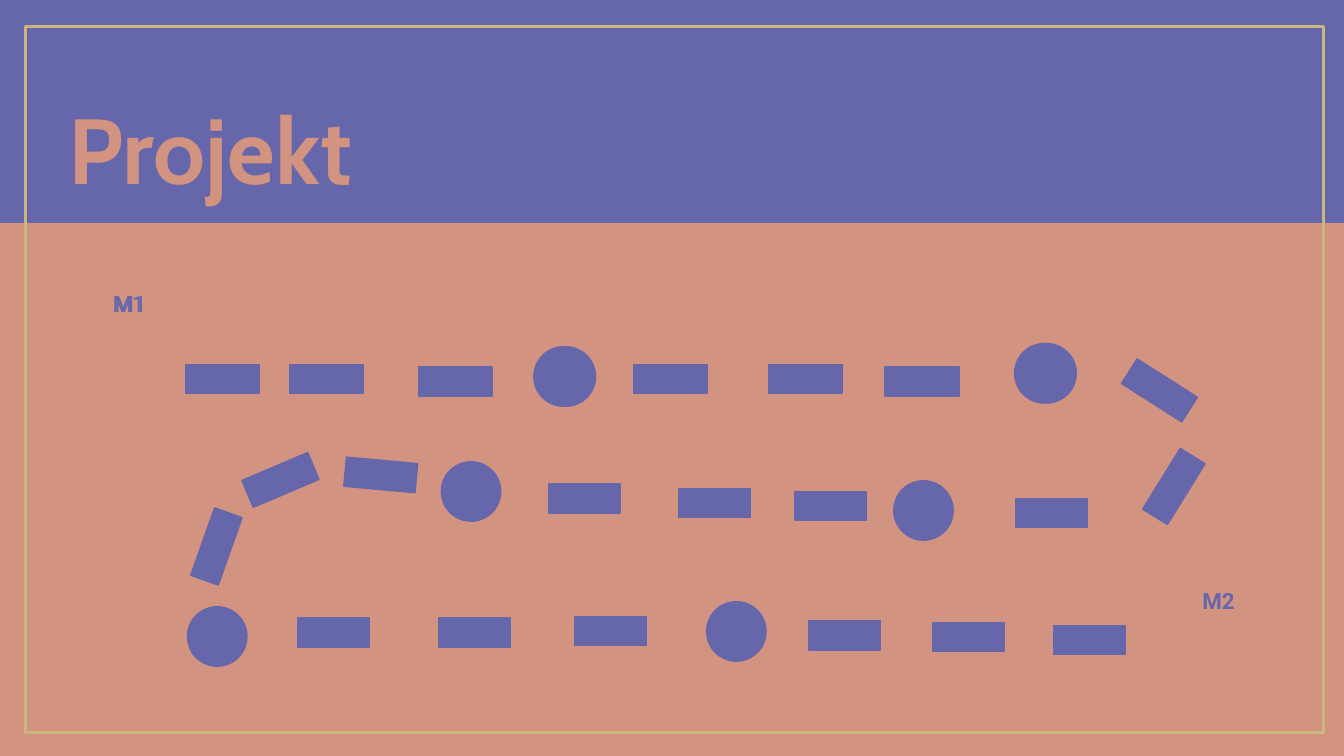
"""Build the Projekt slide: a winding board of tiles and stops from M1 to M2."""
from dataclasses import dataclass

import pptx
import pptx.dml.color
import pptx.enum.shapes
import pptx.enum.text
import pptx.util

Pt = pptx.util.Pt
RECT = pptx.enum.shapes.MSO_SHAPE.RECTANGLE
OVAL = pptx.enum.shapes.MSO_SHAPE.OVAL

COLORS = {"violet": "6667AB", "salmon": "D29381", "gold": "CCB87E"}
TILE_SIZE = (51.1, 20.9)
STOP_SIZE = (42.5, 42.5)
TOP_ROW_OFFSETS = (1.6, 0)


@dataclass(frozen=True)
class Step:
    left: float
    top: float
    rotation: float = 0
    is_stop: bool = False


@dataclass(frozen=True)
class Label:
    text: str
    left: float
    top: float
    width: float
    height: float
    font: str
    size: float
    color: str
    bold: bool = False


TITLE = Label("Projekt", 41.8, 62.6, 519, 87.1, "Cabin", 66, "salmon", True)
START = Label("M1", 73.3, 203.8, 44, 26.6, "Roboto", 16, "violet")
FINISH = Label("M2", 851.8, 416.2, 44.6, 26.6, "Roboto", 16, "violet", True)

TOP_ROW = [
    Step(132.3, 260.4),
    Step(206.6, 260.4),
    Step(298.8, 262),
    Step(381.3, 247.7, is_stop=True),
    Step(452.6, 260.4),
    Step(549, 260.4),
    Step(632.2, 262),
    Step(724.7, 245.4, is_stop=True),
]
REST_OF_TRACK = [
    Step(802.6, 268.4, 32.5),
    Step(812.9, 337, 121.8),
    Step(725.8, 356.1),
    Step(638.4, 343.4, is_stop=True),
    Step(567.4, 351),
    Step(485, 348.8),
    Step(391.7, 345.6),
    Step(315.2, 329.8, is_stop=True),
    Step(246.4, 328.8, 5.2),
    Step(174.8, 332.4, 337),
    Step(129.1, 379.9, 289.5),
    Step(133.9, 433.4, is_stop=True),
    Step(212.6, 441.4),
    Step(313.6, 441.4),
    Step(410.6, 440.4),
    Step(504.7, 429.8, is_stop=True),
    Step(577.8, 443.4),
    Step(666, 444.6),
    Step(752.4, 446.8),
]


def rgb(name: str) -> pptx.dml.color.RGBColor:
    """Return the named palette colour."""
    return pptx.dml.color.RGBColor.from_string(COLORS[name])


def draw_shape(slide, kind, box: tuple, fill: str = "", line: str = "",
               weight: float = 1, rotation: float = 0) -> None:
    """Draw a flat preset shape; an empty colour leaves that part off."""
    shape = slide.shapes.add_shape(kind, *map(Pt, box))
    shape.shadow.inherit = False
    shape.rotation = rotation
    if fill:
        shape.fill.solid()
        shape.fill.fore_color.rgb = rgb(fill)
    else:
        shape.fill.background()
    if line:
        shape.line.color.rgb = rgb(line)
        shape.line.width = Pt(weight)
    else:
        shape.line.fill.background()


def draw_step(slide, step: Step, shift: float = 0) -> None:
    """Draw one tile or round stop of the track."""
    kind, size = (OVAL, STOP_SIZE) if step.is_stop else (RECT, TILE_SIZE)
    draw_shape(slide, kind, (step.left + shift, step.top, *size),
               "violet", "violet", rotation=step.rotation)


def draw_label(slide, label: Label, shift: float = 0) -> None:
    """Write a one-line label."""
    box = (label.left + shift, label.top, label.width, label.height)
    frame = slide.shapes.add_textbox(*map(Pt, box)).text_frame
    frame.word_wrap = True
    frame.auto_size = pptx.enum.text.MSO_AUTO_SIZE.SHAPE_TO_FIT_TEXT
    run = frame.paragraphs[0].add_run()
    run.text = label.text
    font_format = {"name": label.font, "size": Pt(label.size), "bold": label.bold}
    for attribute, value in font_format.items():
        setattr(run.font, attribute, value)
    run.font.color.rgb = rgb(label.color)


def main() -> None:
    """Build and save the deck."""
    deck = pptx.Presentation()
    deck.slide_width, deck.slide_height = Pt(960), Pt(540)
    slide = deck.slides.add_slide(deck.slide_layouts[6])
    slide.background.fill.solid()
    slide.background.fill.fore_color.rgb = rgb("violet")

    draw_shape(slide, RECT, (0, 159.2, 960, 380.8), "salmon")
    draw_shape(slide, RECT, (0, 0, 960, 159.2), "violet")
    draw_shape(slide, RECT, (18, 18.9, 927.2, 504.2), line="gold", weight=2)
    draw_label(slide, TITLE)
    draw_label(slide, FINISH)
    for step in REST_OF_TRACK:
        draw_step(slide, step)
    for shift in TOP_ROW_OFFSETS:
        draw_label(slide, START, shift)
        for step in TOP_ROW:
            draw_step(slide, step, shift)

    deck.save("out.pptx")


if __name__ == "__main__":
    main()
